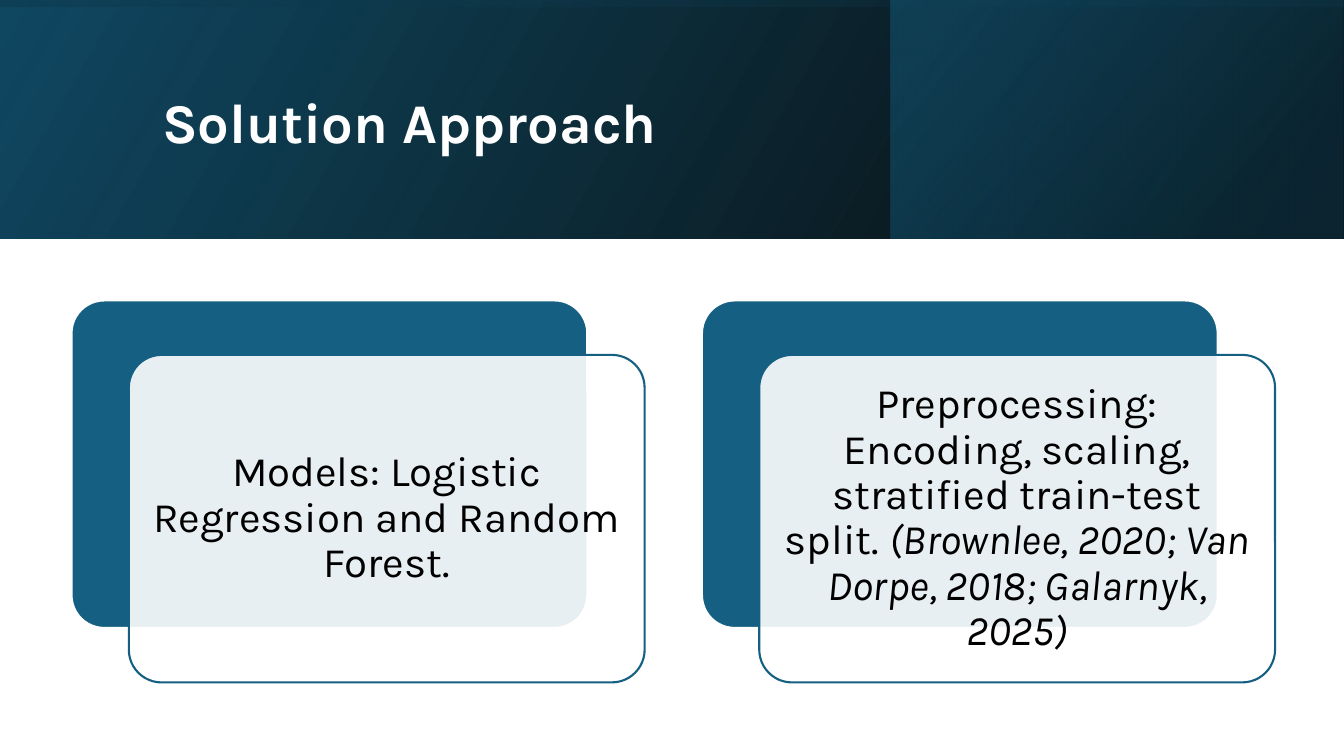
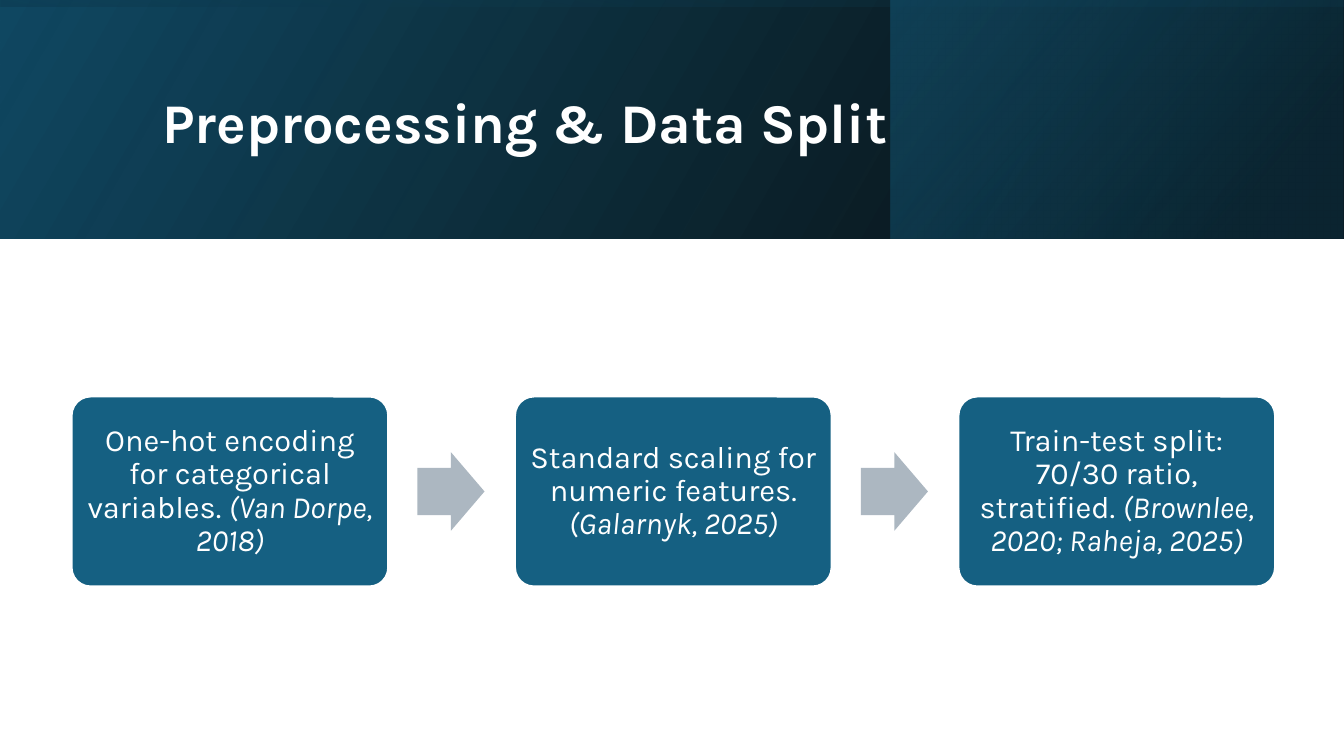
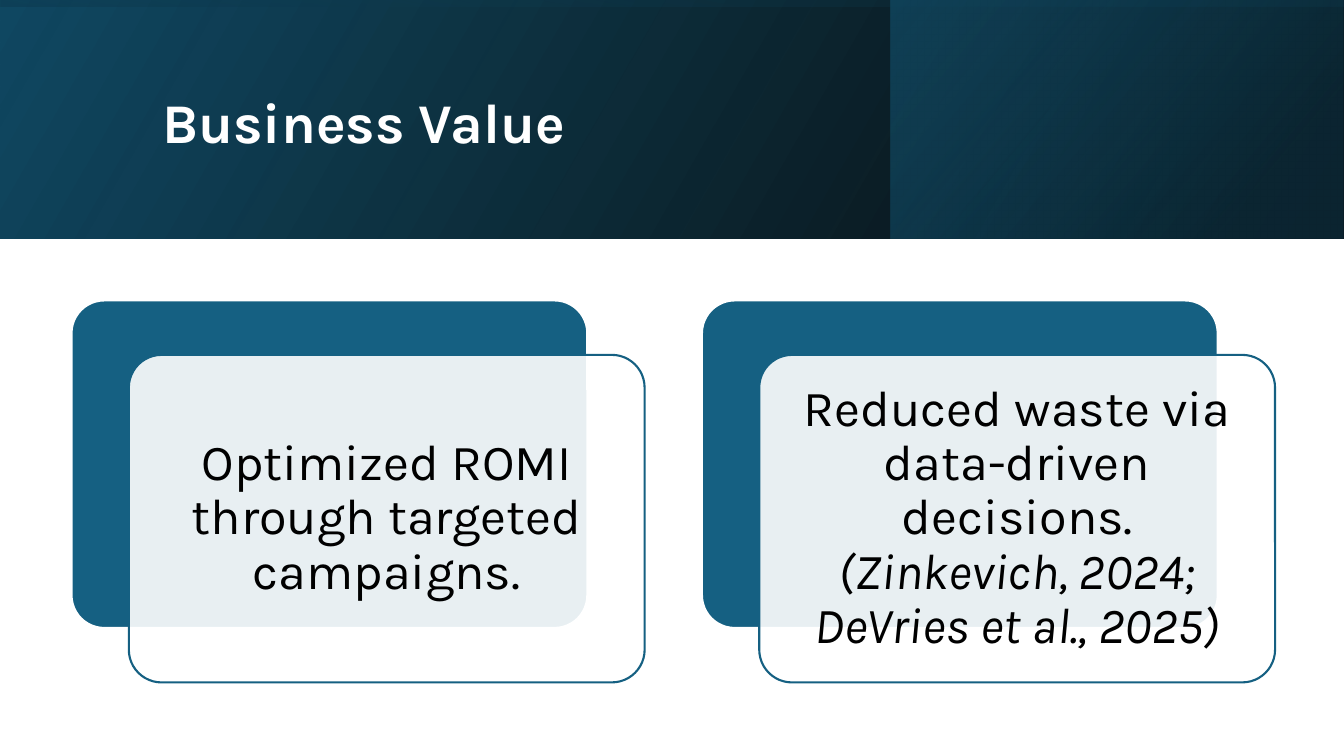
from dataclasses import dataclass

from lxml import etree
from pptx import Presentation
from pptx.dml.color import RGBColor
from pptx.enum.shapes import MSO_SHAPE
from pptx.enum.text import MSO_ANCHOR, PP_ALIGN
from pptx.oxml.ns import qn
from pptx.util import Pt

RECT = MSO_SHAPE.RECTANGLE
ROUND = MSO_SHAPE.ROUNDED_RECTANGLE
ARROW = MSO_SHAPE.RIGHT_ARROW
MIDDLE = MSO_ANCHOR.MIDDLE
LEFT, CENTER = PP_ALIGN.LEFT, PP_ALIGN.CENTER


@dataclass(frozen=True)
class Theme:
    font: str = "Karla"
    white: str = "FFFFFF"
    black: str = "000000"
    navy: str = "104862"
    deep: str = "0B3041"
    teal: str = "156082"
    grey: str = "ACB7C1"
    head: int = 40
    large: int = 36
    body: int = 30
    small: int = 22
    line: float = 1.5


THEME = Theme()
WIDE, HIGH = 960, 540
BAND = 170.6
TITLE = (108.7, 27.4, 765.4, 123.8)
BODY = (51.1, 214.6, 859.7, 272.9)


def put_text(shape, runs, size, color, align=CENTER, bold=False, pad=None):
    """Fill a shape with one paragraph; runs are (text, italic) pairs."""
    frame = shape.text_frame
    frame.word_wrap = True
    frame.vertical_anchor = MIDDLE
    if pad is not None:
        frame.margin_left = frame.margin_right = Pt(pad)
        frame.margin_top = frame.margin_bottom = Pt(pad)
    para = frame.paragraphs[0]
    para.alignment = align
    para.line_spacing = 0.9
    for text, slant in runs:
        run = para.add_run()
        run.text = text
        font = run.font
        font.name, font.size = THEME.font, Pt(size)
        font.bold, font.italic = bold, slant
        font.color.rgb = RGBColor.from_string(color)


def add_shape(slide, kind, box, fill=None, line=None, adjust=()):
    shape = slide.shapes.add_shape(kind, *map(Pt, box))
    shape.shadow.inherit = False
    for index, value in enumerate(adjust):
        shape.adjustments[index] = value
    if fill:
        shape.fill.solid()
        shape.fill.fore_color.rgb = RGBColor.from_string(fill)
    if line:
        shape.line.color.rgb = RGBColor.from_string(line)
        shape.line.width = Pt(THEME.line)
    else:
        shape.line.fill.background()
    return shape


def set_alpha(color, percent):
    etree.SubElement(color, qn("a:alpha"), val=str(percent * 1000))


def add_fade(slide, box, stops, angle, turn=0):
    """Mirrored rectangle with a gradient of (place, color, opacity) stops."""
    shape = add_shape(slide, RECT, box)
    shape.rotation = turn
    props = shape._element.spPr
    props.find(qn("a:xfrm")).set("flipH", "1")
    grad = etree.Element(qn("a:gradFill"), rotWithShape="1")
    items = etree.SubElement(grad, qn("a:gsLst"))
    for place, color, alpha in stops:
        stop = etree.SubElement(items, qn("a:gs"), pos=str(place * 1000))
        tint = etree.SubElement(stop, qn("a:srgbClr"), val=color)
        set_alpha(tint, alpha)
    etree.SubElement(grad, qn("a:lin"), ang=str(angle * 60000), scaled="0")
    props.find(qn("a:prstGeom")).addnext(grad)


def add_band(slide, title):
    add_fade(slide, (0, 0, WIDE, BAND),
             [(0, THEME.black, 96), (100, THEME.navy, 100)], 330)
    add_fade(slide, (636.5, 0, 322.8, BAND),
             [(19, THEME.deep, 68), (100, THEME.teal, 48)], 320)
    # Upright strip, turned to lie across the whole band
    shift = (WIDE - BAND) / 2
    add_fade(slide, (shift, -shift, BAND, WIDE),
             [(23, THEME.navy, 16), (99, THEME.black, 45)], 350, turn=270)
    label = slide.shapes.add_textbox(*map(Pt, TITLE))
    put_text(label, [(title, False)], THEME.head, THEME.white,
             align=LEFT, bold=True)


def add_cards(slide, box, cards, size):
    """Two layered cards; the shift also serves as the gap between them."""
    left, top, width, _ = box
    wide = width * 3 / 7
    high = wide * 0.635
    shift = wide / 9
    for index, runs in enumerate(cards):
        x = left + index * (wide + 2 * shift)
        add_shape(slide, ROUND, (x, top, wide, high),
                  THEME.teal, THEME.white, [0.1])
        front = add_shape(slide, ROUND,
                          (x + shift, top + 0.95 * shift, wide, high),
                          THEME.white, THEME.teal, [0.1])
        fill = front._element.spPr.find(qn("a:solidFill"))
        set_alpha(fill[0], 90)
        put_text(front, runs, size, THEME.black, pad=0.3 * size)


def add_steps(slide, box, steps, size):
    """Row of boxes joined by arrows, centred in the height of the box."""
    left, top, width, height = box
    count = len(steps)
    wide = width / (count + 0.4 * (count - 1))
    high = 0.6 * wide
    mid = top + height / 2
    for index, runs in enumerate(steps):
        x = left + index * 1.4 * wide
        if index:
            tall = 0.248 * wide
            add_shape(slide, ARROW,
                      (x - 0.308 * wide, mid - tall / 2, 0.212 * wide, tall),
                      THEME.grey, adjust=[0.6, 0.5])
        step = add_shape(slide, ROUND, (x, mid - high / 2, wide, high),
                         THEME.teal, THEME.white, [0.1])
        put_text(step, runs, size, THEME.white, pad=0.3 * size)


SLIDES = [
    ("Solution Approach", add_cards, THEME.body, [
        [("Models: Logistic Regression and Random Forest.", False)],
        [("Preprocessing: Encoding, scaling, stratified train-test split. ",
          False),
         ("(Brownlee, 2020; Van Dorpe, 2018; Galarnyk, 2025)", True)],
    ]),
    ("Preprocessing & Data Split", add_steps, THEME.small, [
        [("One-hot encoding for categorical variables. ", False),
         ("(Van Dorpe, 2018)", True)],
        [("Standard scaling for numeric features. ", False),
         ("(Galarnyk, 2025)", True)],
        [("Train-test split: 70/30 ratio, stratified. ", False),
         ("(Brownlee, 2020; Raheja, 2025)", True)],
    ]),
    ("Business Value", add_cards, THEME.large, [
        [("Optimized ROMI through targeted campaigns.", False)],
        [("Reduced waste via data-driven decisions. ", False),
         ("(Zinkevich, 2024; DeVries et al., 2025)", True)],
    ]),
]


def main():
    deck = Presentation()
    deck.slide_width, deck.slide_height = Pt(WIDE), Pt(HIGH)
    blank = deck.slide_layouts[6]
    for title, build, size, parts in SLIDES:
        slide = deck.slides.add_slide(blank)
        add_band(slide, title)
        build(slide, BODY, parts, size)
    deck.save("out.pptx")


if __name__ == "__main__":
    main()
